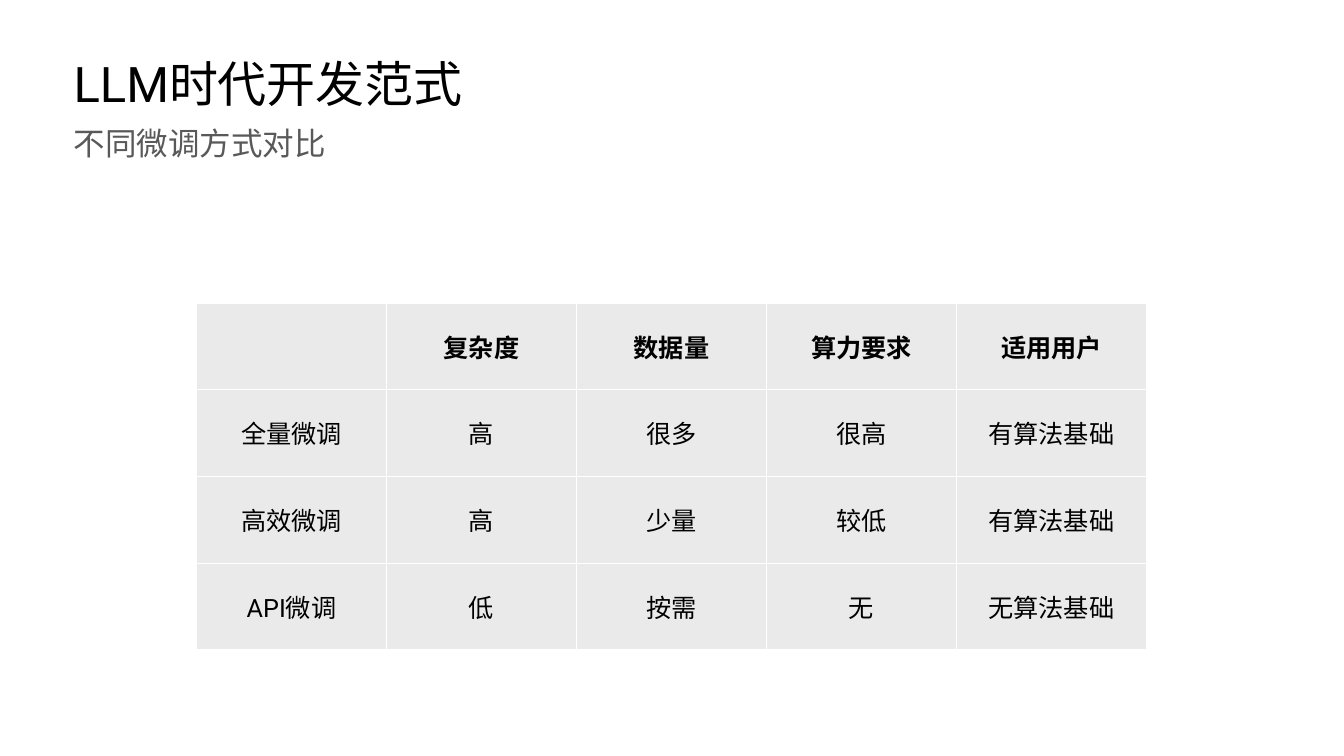
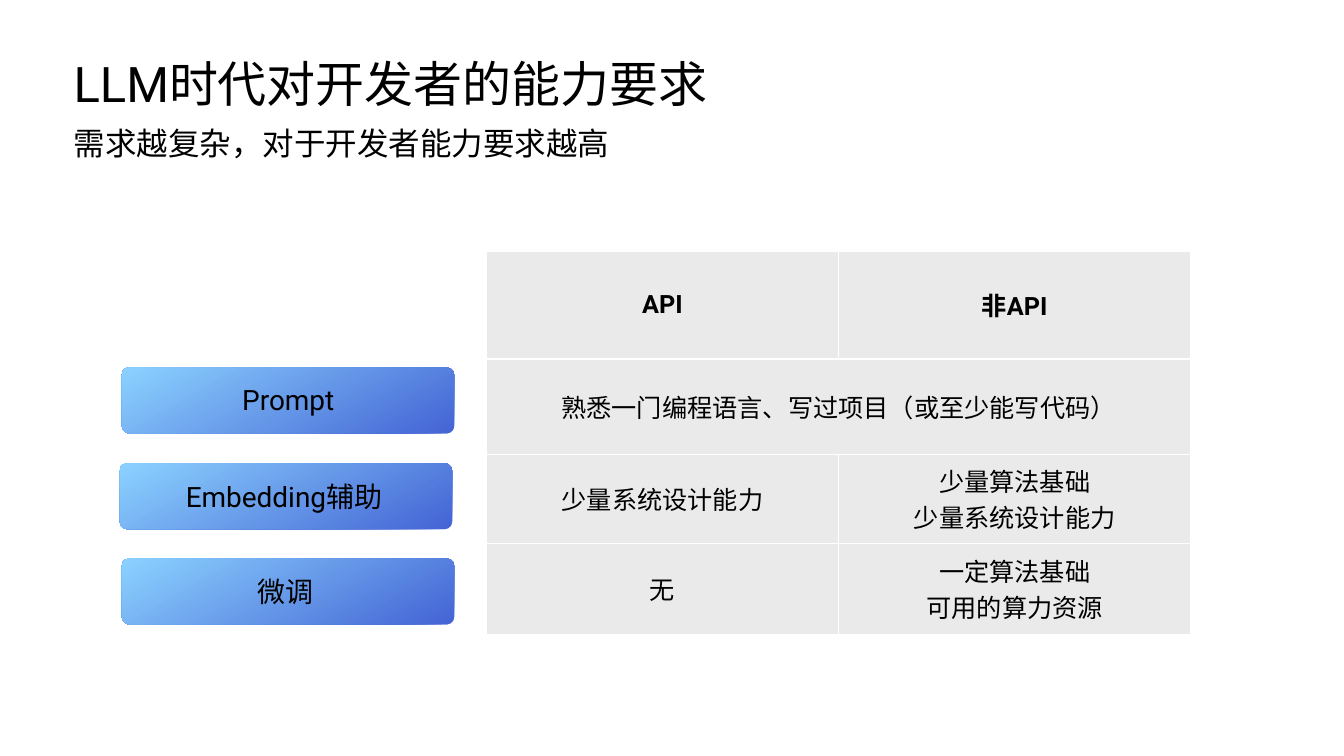
from lxml import etree
from pptx import Presentation
from pptx.dml.color import RGBColor
from pptx.enum.shapes import MSO_SHAPE
from pptx.enum.text import MSO_ANCHOR, MSO_AUTO_SIZE, PP_ALIGN
from pptx.oxml.ns import qn
from pptx.util import Pt

PX = 9144
FONT = "Roboto"
LEFT, CENTER = PP_ALIGN.LEFT, PP_ALIGN.CENTER
MIDDLE = MSO_ANCHOR.MIDDLE
FIT_SHAPE = MSO_AUTO_SIZE.SHAPE_TO_FIT_TEXT
ROUNDED = MSO_SHAPE.ROUNDED_RECTANGLE
COLORS = {
    "text": "000000",
    "muted": "595959",
    "cell": "EAEAEA",
    "border": "FFFFFF",
    "pill_dark": "153DCA",
    "pill_light": "6FC7FF",
}


def write_text(frame, text, size, color="text", bold=False, align=LEFT):
    for index, line in enumerate(text.split("\n")):
        paragraph = frame.paragraphs[0] if index == 0 else frame.add_paragraph()
        paragraph.alignment = align
        run = paragraph.add_run()
        run.text = line
        run.font.name = FONT
        run.font.size = Pt(size)
        run.font.bold = bold
        run.font.color.rgb = RGBColor.from_string(COLORS[color])


def add_border(cell, side, width):
    line = etree.SubElement(cell._tc.get_or_add_tcPr(), qn(f"a:ln{side}"), w=str(Pt(width)))
    fill = etree.SubElement(line, qn("a:solidFill"))
    etree.SubElement(fill, qn("a:srgbClr"), val=COLORS["border"])


presentation = Presentation()
presentation.slide_width = 2667 * PX
presentation.slide_height = 1500 * PX
blank = presentation.slide_layouts[6]
tuning_slide = presentation.slides.add_slide(blank)
skills_slide = presentation.slides.add_slide(blank)

TITLE = {"size": 70}
SUBTITLE = {"size": 45}
LABEL = {"size": 40, "align": CENTER}
text_boxes = [
    (tuning_slide, "LLM时代开发范式", 140, 99, 828, 129, TITLE),
    (tuning_slide, "不同微调方式对比", 140, 241, 517, 87, {**SUBTITLE, "color": "muted"}),
    (skills_slide, "LLM时代对开发者的能力要求", 140, 99, 1314, 129, TITLE),
    (skills_slide, "需求越复杂，对于开发者能力要求越高", 140, 241, 1080, 87, SUBTITLE),
    (skills_slide, "Prompt", 461, 753, 222, 78, LABEL),
    (skills_slide, "Embedding辅助", 340, 945, 447, 78, LABEL),
    (skills_slide, "微调", 502, 1135, 130, 78, LABEL),
]

for left, top in [(242, 729), (238, 919), (242, 1108)]:
    pill = skills_slide.shapes.add_shape(ROUNDED, left * PX, top * PX, 659 * PX, 131 * PX)
    pill.shadow.inherit = False
    pill.adjustments[0] = 0.11
    pill.line.fill.background()
    pill.fill.gradient()
    pill.fill.gradient_angle = 120
    for stop, color in zip(pill.fill.gradient_stops, ("pill_dark", "pill_light")):
        stop.color.rgb = RGBColor.from_string(COLORS[color])
    for color_element in pill._element.spPr.iter(qn("a:srgbClr")):
        etree.SubElement(color_element, qn("a:alpha"), val="80000")

for slide, text, left, top, width, height, style in text_boxes:
    box = slide.shapes.add_textbox(left * PX, top * PX, width * PX, height * PX)
    frame = box.text_frame
    frame.word_wrap = False
    frame.auto_size = FIT_SHAPE
    frame.vertical_anchor = MIDDLE
    frame.margin_left = frame.margin_top = frame.margin_right = frame.margin_bottom = 6 * PX
    write_text(frame, text, **style)

tuning_rows = [
    ["", "复杂度", "数据量", "算力要求", "适用用户"],
    ["全量微调", "高", "很多", "很高", "有算法基础"],
    ["高效微调", "高", "少量", "较低", "有算法基础"],
    ["API微调", "低", "按需", "无", "无算法基础"],
]
skills_rows = [
    ["API", "非API"],
    ["熟悉一门编程语言、写过项目（或至少能写代码）", ""],
    ["少量系统设计能力", "少量算法基础\n少量系统设计能力"],
    ["无", "一定算法基础\n可用的算力资源"],
]
tables = [
    (tuning_slide, tuning_rows, 390, 601, 377, [172] * 4),
    (skills_slide, skills_rows, 965, 498, 699, [214, 189, 177, 180]),
]

for slide, rows, left, top, column_width, row_heights in tables:
    column_count = len(rows[0])
    table = slide.shapes.add_table(
        len(rows), column_count, left * PX, top * PX,
        column_count * column_width * PX, sum(row_heights) * PX,
    ).table
    table.horz_banding = False
    for column in table.columns:
        column.width = column_width * PX
    for row_index, (texts, height) in enumerate(zip(rows, row_heights)):
        table.rows[row_index].height = height * PX
        is_header = row_index == 0
        for column_index, text in enumerate(texts):
            cell = table.cell(row_index, column_index)
            for side in "LRTB":
                add_border(cell, side, 3 if is_header and side == "B" else 1)
            cell.fill.solid()
            cell.fill.fore_color.rgb = RGBColor.from_string(COLORS["cell"])
            cell.vertical_anchor = MIDDLE
            if text:
                write_text(cell.text_frame, text, 36, bold=is_header, align=CENTER)
    if rows is skills_rows:
        table.cell(1, 0).merge(table.cell(1, 1))

presentation.save("out.pptx")
